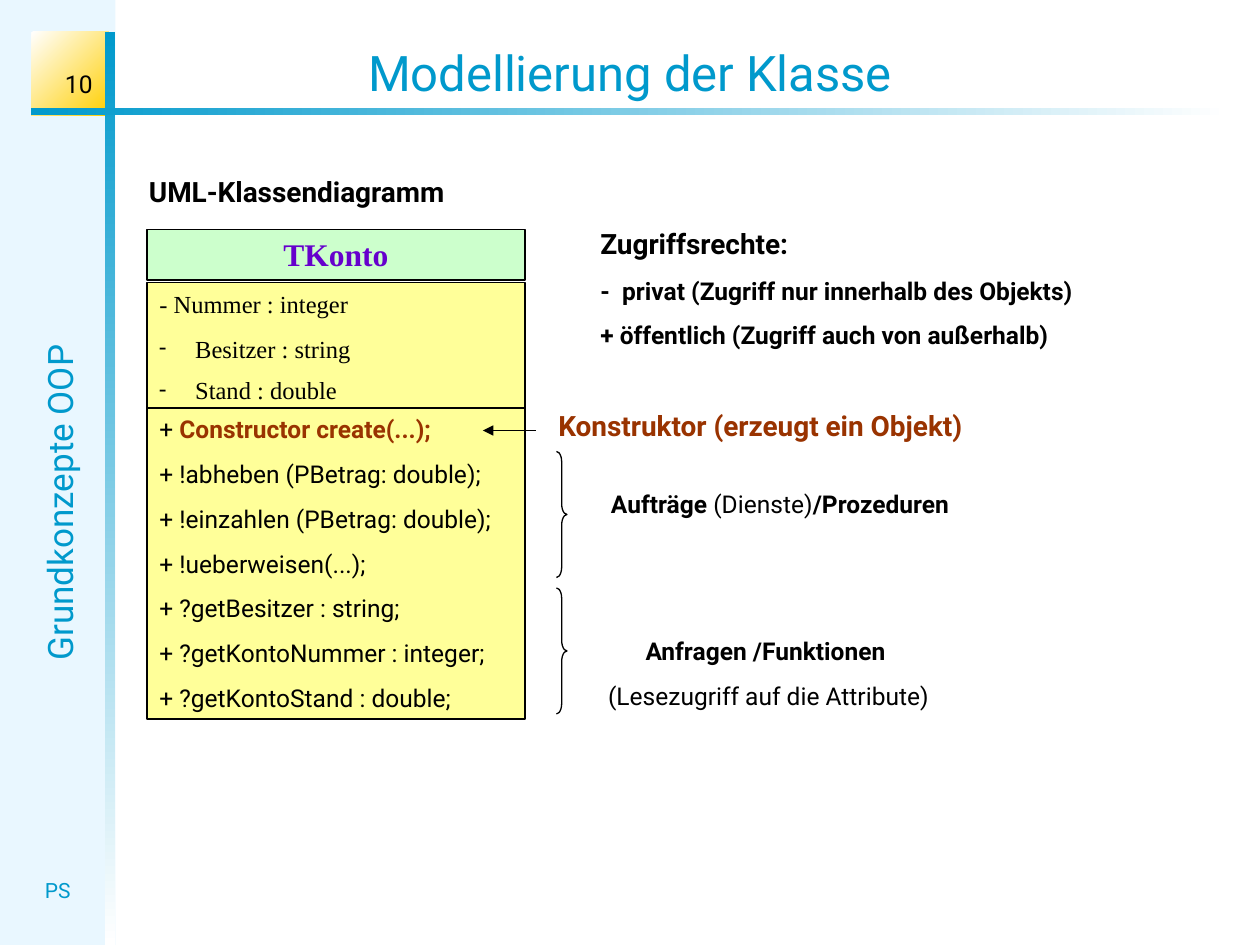
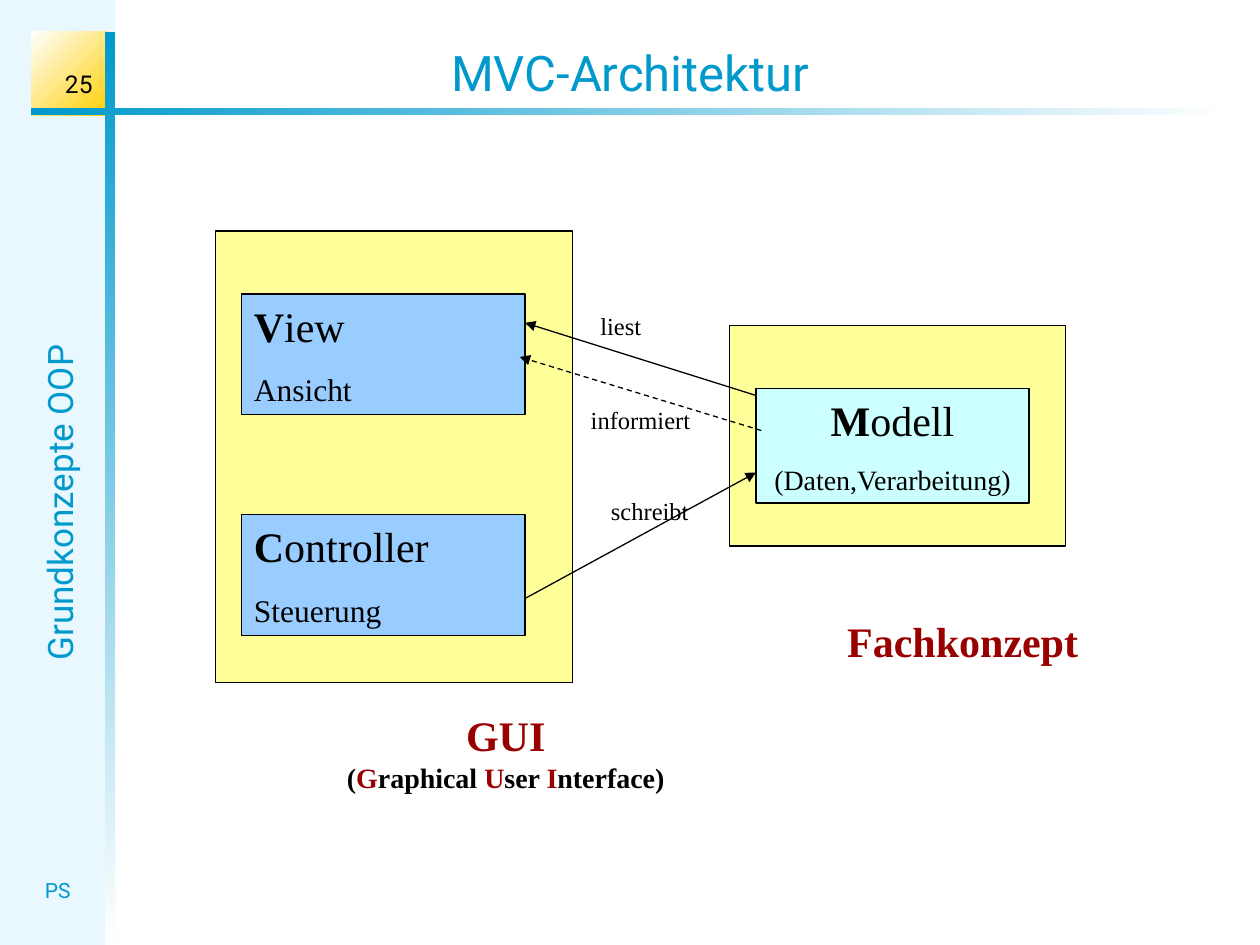
"""Build two slides on OOP: a UML class diagram and the MVC architecture."""

import dataclasses
import typing

import lxml.etree
import pptx
import pptx.dml.color
import pptx.enum.dml
import pptx.enum.shapes
import pptx.enum.text
import pptx.oxml.ns
import pptx.util

Pt = pptx.util.Pt
RGB = pptx.dml.color.RGBColor
Align = pptx.enum.text.PP_ALIGN
Anchor = pptx.enum.text.MSO_ANCHOR
AutoSize = pptx.enum.text.MSO_AUTO_SIZE
Preset = pptx.enum.shapes.MSO_SHAPE


@dataclasses.dataclass(frozen=True)
class Theme:
    sans: str = "Roboto"
    serif: str = "Times New Roman"
    title: float = 28
    head: float = 24
    section: float = 20
    name: float = 18
    lead: float = 16
    body: float = 14
    small: float = 12
    stroke: float = 0.75
    ink: RGB = RGB.from_string("000000")
    white: RGB = RGB.from_string("FFFFFF")
    accent: RGB = RGB.from_string("0099CC")
    sidebar: RGB = RGB.from_string("E9F7FF")
    gold: RGB = RGB.from_string("FFCF01")
    yellow: RGB = RGB.from_string("FFFF99")
    green: RGB = RGB.from_string("CCFFCC")
    cyan: RGB = RGB.from_string("CCFFFF")
    blue: RGB = RGB.from_string("99CCFF")
    purple: RGB = RGB.from_string("6600CC")
    brown: RGB = RGB.from_string("993300")
    red: RGB = RGB.from_string("990000")


THEME = Theme()


class Area(typing.NamedTuple):
    left: float
    top: float
    width: float
    height: float


class Span(typing.NamedTuple):
    text: str
    color: RGB = THEME.ink
    bold: bool = False


@dataclasses.dataclass(frozen=True)
class Para:
    spans: tuple[Span, ...]
    size: float = THEME.body
    font: str = THEME.sans
    before: float = 0
    align: Align = Align.LEFT
    spacing: float = 1
    hang: float = 0
    bullet: str = ""


@dataclasses.dataclass(frozen=True)
class Block:
    area: Area
    paras: tuple[Para, ...] = ()
    fill: RGB | None = None
    anchor: Anchor = Anchor.TOP
    wrap: bool = True
    rotation: float = 0


class Band(typing.NamedTuple):
    area: Area
    start: RGB
    end: RGB
    angle: float


class Arrow(typing.NamedTuple):
    start: tuple[float, float]
    end: tuple[float, float]
    dashed: bool = False


BANDS = (
    Band(Area(0, 0, 66, 540), THEME.sidebar, THEME.sidebar, 0),
    Band(Area(18, 18, 44, 48), THEME.white, THEME.gold, 315),
    Band(Area(60, 18, 6, 522), THEME.accent, THEME.white, 270),
    Band(Area(17.5, 62, 684.5, 4), THEME.accent, THEME.white, 0),
)


def line_of(text: str, color: RGB = THEME.ink, bold: bool = False, **form: typing.Any) -> Para:
    return Para((Span(text, color, bold),), **form)


def place(shape: typing.Any, area: Area) -> None:
    shape.left, shape.top, shape.width, shape.height = (Pt(length) for length in area)


def add_preset(page: typing.Any, preset: Preset, area: Area) -> typing.Any:
    shape = page.shapes.add_shape(preset, *(Pt(length) for length in area))
    shape.shadow.inherit = False
    return shape


def outline(shape: typing.Any) -> None:
    shape.line.color.rgb = THEME.ink
    shape.line.width = Pt(THEME.stroke)


def write_span(para: typing.Any, text: str, *, font: str, size: float, color: RGB, bold: bool = False) -> None:
    span = para.add_run()
    span.text = text
    span.font.name = font
    span.font.size = Pt(size)
    span.font.color.rgb = color
    span.font.bold = bold


def write_para(para: typing.Any, content: Para) -> None:
    para.alignment = content.align
    para.space_before = Pt(content.before)
    para.line_spacing = content.spacing
    properties = para._p.get_or_add_pPr()
    if content.hang:
        properties.set("marL", str(Pt(content.hang)))
        properties.set("indent", str(-Pt(content.hang)))
    if content.bullet:
        lxml.etree.SubElement(properties, pptx.oxml.ns.qn("a:buFont"), typeface=THEME.sans)
        lxml.etree.SubElement(properties, pptx.oxml.ns.qn("a:buChar"), char=content.bullet)
    for span in content.spans:
        write_span(para, span.text, font=content.font, size=content.size, color=span.color, bold=span.bold)


def draw_block(page: typing.Any, block: Block) -> None:
    if block.fill is None:
        box = page.shapes.add_textbox(*(Pt(length) for length in block.area))
    else:
        box = add_preset(page, Preset.RECTANGLE, block.area)
        box.fill.solid()
        box.fill.fore_color.rgb = block.fill
        outline(box)
    box.rotation = block.rotation
    frame = box.text_frame
    frame.word_wrap = block.wrap
    frame.auto_size = AutoSize.NONE if block.wrap else AutoSize.SHAPE_TO_FIT_TEXT
    frame.vertical_anchor = block.anchor
    for index, content in enumerate(block.paras):
        write_para(frame.add_paragraph() if index else frame.paragraphs[0], content)


def draw_band(page: typing.Any, band: Band) -> None:
    shape = add_preset(page, Preset.RECTANGLE, band.area)
    shape.line.fill.background()
    if band.start == band.end:
        shape.fill.solid()
        shape.fill.fore_color.rgb = band.start
        return
    shape.fill.gradient()
    shape.fill.gradient_angle = band.angle
    for stop, color in zip(shape.fill.gradient_stops, (band.start, band.end)):
        stop.color.rgb = color


def draw_arrow(page: typing.Any, arrow: Arrow) -> None:
    ends = (Pt(length) for length in (*arrow.start, *arrow.end))
    connector = page.shapes.add_connector(pptx.enum.shapes.MSO_CONNECTOR.STRAIGHT, *ends)
    outline(connector)
    if arrow.dashed:
        connector.line.dash_style = pptx.enum.dml.MSO_LINE.DASH
    properties = connector._element.spPr
    stroke = properties.find(pptx.oxml.ns.qn("a:ln"))
    lxml.etree.SubElement(stroke, pptx.oxml.ns.qn("a:tailEnd"), type="triangle")
    lxml.etree.SubElement(properties, pptx.oxml.ns.qn("a:effectLst"))


def draw_brace(page: typing.Any, top: float) -> None:
    brace = add_preset(page, Preset.RIGHT_BRACE, Area(318, top, 6, 72))
    brace.adjustments[0] = 1.0
    brace.fill.background()
    outline(brace)


def add_page(deck: typing.Any, title: str, number: str) -> typing.Any:
    page = deck.slides.add_slide(deck.slide_layouts[5])
    for band in BANDS:
        draw_band(page, band)
    section = line_of("Grundkonzepte OOP", THEME.accent, size=THEME.section, align=Align.CENTER)
    author = line_of("PS", THEME.accent, size=THEME.small, align=Align.CENTER)
    draw_block(page, Block(Area(-177, 271.5, 422, 31.5), (section,), rotation=270))
    draw_block(page, Block(Area(12, 498, 42, 21.5), (author,)))
    draw_block(page, Block(Area(5.5, 30, 54.5, 30), (line_of(number, align=Align.RIGHT),), anchor=Anchor.BOTTOM))
    heading = page.shapes.title
    place(heading, Area(0, 20.5, 720, 41))
    frame = heading.text_frame
    frame.auto_size = AutoSize.NONE
    frame.vertical_anchor = Anchor.BOTTOM
    write_para(frame.paragraphs[0], line_of(title, THEME.accent, size=THEME.title, align=Align.CENTER))
    return page


def build_class_page(deck: typing.Any) -> None:
    page = add_page(deck, "Modellierung der Klasse", "10")
    gap = 8.8
    class_name = line_of("TKonto", THEME.purple, True, size=THEME.name, font=THEME.serif, align=Align.CENTER)
    attributes = (
        line_of("- Nummer : integer", font=THEME.serif),
        line_of("Besitzer : string", font=THEME.serif, before=gap, hang=20.5, bullet="-"),
        line_of("Stand : double", font=THEME.serif, before=gap, hang=20.5, bullet="-", spacing=0.9),
    )
    methods = (
        "!abheben (PBetrag: double);",
        "!einzahlen (PBetrag: double);",
        "!ueberweisen(...);",
        "?getBesitzer : string;",
        "?getKontoNummer : integer;",
        "?getKontoStand : double;",
    )
    constructor = Para((Span("+ "), Span("Constructor create(...);", THEME.brown, True)))
    operations = (constructor, *(line_of(f"+ {method}", before=gap) for method in methods))
    rights = (
        line_of("Zugriffsrechte:", bold=True, size=THEME.lead),
        line_of("-\tprivat (Zugriff nur innerhalb des Objekts)", bold=True, before=gap, hang=12.5),
        line_of("+ öffentlich (Zugriff auch von außerhalb)", bold=True, before=gap),
    )
    creation = line_of("Konstruktor (erzeugt ein Objekt)", THEME.brown, True, size=THEME.lead, spacing=1.1)
    orders = Para((Span("Aufträge", bold=True), Span(" (Dienste)"), Span("/Prozeduren", bold=True)))
    queries = (
        line_of("Anfragen /Funktionen", bold=True, align=Align.CENTER),
        line_of(" (Lesezugriff auf die Attribute)", before=gap, align=Align.CENTER),
    )
    for block in (
        Block(Area(84, 131, 216, 29), (class_name,), THEME.green),
        Block(Area(84, 161.5, 216, 73.5), attributes, THEME.yellow),
        Block(Area(84, 233.2, 216, 177.8), operations, THEME.yellow),
        Block(Area(312, 228, 368.5, 29), (creation,)),
        Block(Area(78, 96, 204, 27), (line_of("UML-Klassendiagramm", bold=True, size=THEME.lead),)),
        Block(Area(336, 126, 366, 78), rights),
        Block(Area(332, 359.8, 211, 50), queries, anchor=Anchor.MIDDLE, wrap=False),
        Block(Area(342, 275.5, 226, 24.5), (orders,), anchor=Anchor.MIDDLE, wrap=False),
    ):
        draw_block(page, block)
    draw_arrow(page, Arrow((306, 246), (276, 246)))
    for top in (258, 336):
        draw_brace(page, top)


def role(name: str, note: str, size: float, before: float, align: Align = Align.LEFT) -> tuple[Para, ...]:
    initial = (Span(name[0], bold=True), Span(name[1:]))
    return (
        Para(initial, size=THEME.head, font=THEME.serif, align=align),
        line_of(note, size=size, font=THEME.serif, before=before, align=align),
    )


def build_mvc_page(deck: typing.Any) -> None:
    page = add_page(deck, "MVC-Architektur", "25")
    words = (("(", "G", "raphical "), ("", "U", "ser "), ("", "I", "nterface)"))
    meaning = tuple(
        Span(text, color, True)
        for word in words
        for text, color in zip(word, (THEME.ink, THEME.red, THEME.ink))
        if text
    )
    gui = (
        line_of("GUI", THEME.red, True, size=THEME.head, font=THEME.serif, align=Align.CENTER),
        Para(meaning, size=THEME.lead, font=THEME.serif, align=Align.CENTER),
    )
    concept = line_of("Fachkonzept", THEME.red, True, size=THEME.head, font=THEME.serif)
    model = role("Modell", "(Daten,Verarbeitung)", THEME.lead, 10, Align.CENTER)
    for block in (
        Block(Area(123, 132, 204, 258), fill=THEME.yellow),
        Block(Area(191, 402, 196, 55.5), gui, wrap=False),
        Block(Area(477, 348, 148, 36), (concept,), wrap=False),
        Block(Area(417, 186, 192, 126), fill=THEME.yellow),
        Block(Area(432, 222, 156, 65.5), model, THEME.cyan),
        Block(Area(138, 294, 162, 69), role("Controller", "Steuerung", THEME.name, 11.2), THEME.blue),
        Block(Area(138, 168, 162, 69), role("View", "Ansicht", THEME.name, 11.2), THEME.blue),
    ):
        draw_block(page, block)
    for arrow in (
        Arrow((435, 246), (297, 204), dashed=True),
        Arrow((300, 342), (432, 270)),
        Arrow((432, 226), (300, 184.5)),
    ):
        draw_arrow(page, arrow)
    for text, left, top, width in (
        ("schreibt", 342, 280, 60),
        ("liest", 336, 174, 39),
        ("informiert", 330.5, 228, 72),
    ):
        draw_block(page, Block(Area(left, top, width, 24.5), (line_of(text, font=THEME.serif),), wrap=False))


def main() -> None:
    deck = pptx.Presentation()
    deck.slide_width, deck.slide_height = Pt(720), Pt(540)
    build_class_page(deck)
    build_mvc_page(deck)
    deck.save("out.pptx")


if __name__ == "__main__":
    main()
